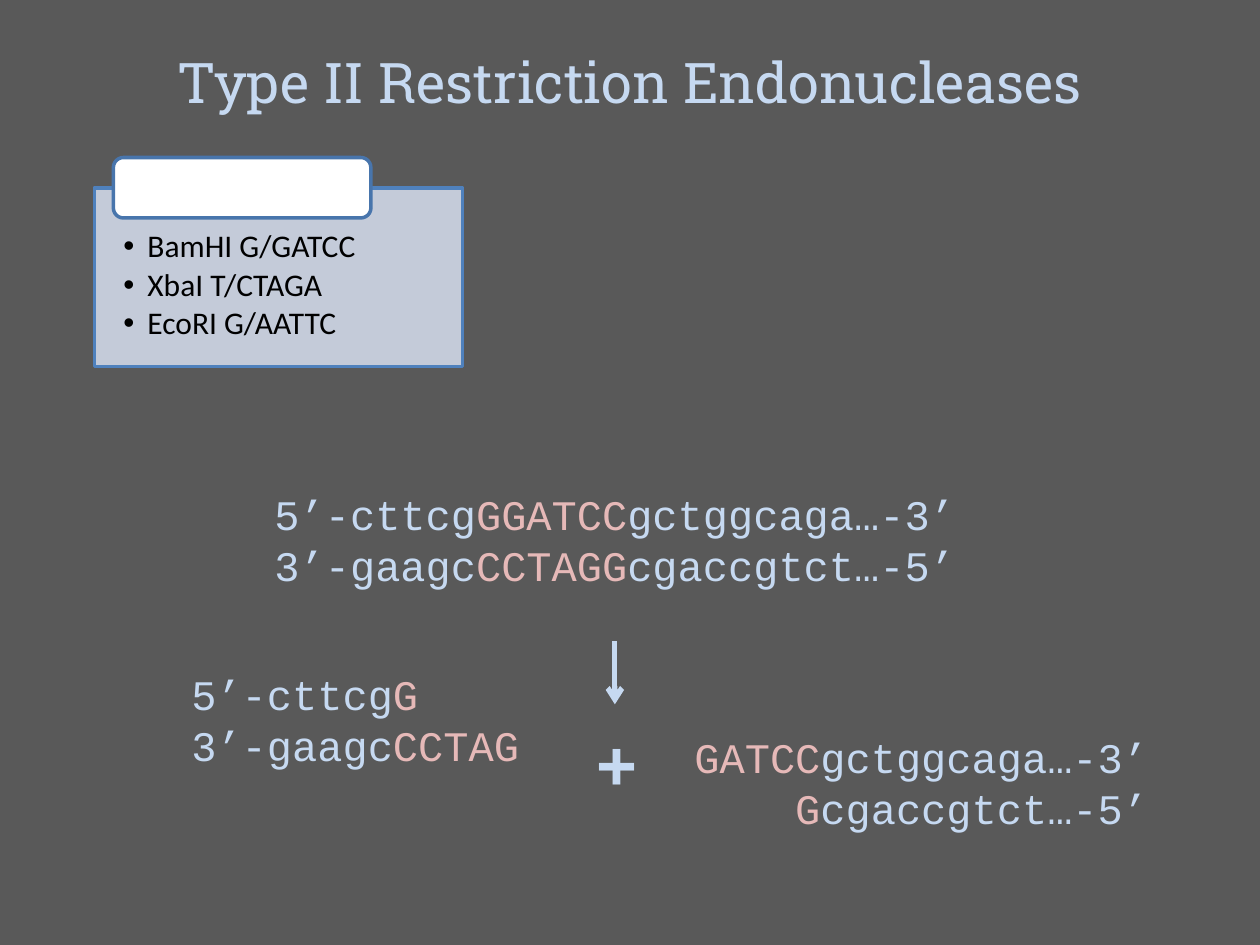
import itertools
import pptx
import pptx.dml.color
import pptx.enum.shapes
import pptx.enum.text
import pptx.oxml
import pptx.oxml.ns
import pptx.util

Inches = pptx.util.Inches
Pt = pptx.util.Pt
RGB = pptx.dml.color.RGBColor
ALIGN = pptx.enum.text.PP_ALIGN
ANCHOR = pptx.enum.text.MSO_ANCHOR
SHAPE = pptx.enum.shapes.MSO_SHAPE

GREY = RGB(0x59, 0x59, 0x59)
PALE = RGB(0xC6, 0xD9, 0xF1)
PINK = RGB(0xE6, 0xB9, 0xB8)
CARD = RGB(0xD0, 0xD8, 0xE8)
EDGE = RGB(0x4F, 0x81, 0xBD)
RIM = RGB(0x48, 0x75, 0xAC)
WHITE = RGB(0xFF, 0xFF, 0xFF)
BLACK = RGB(0x00, 0x00, 0x00)


def style(font, name, size, color, bold=False):
    font.name = name
    font.size = Pt(size)
    font.color.rgb = color
    font.bold = bold


def add_xml(parent, tag, attrs=""):
    space = pptx.oxml.ns.nsdecls("a")
    node = pptx.oxml.parse_xml(f"<a:{tag} {space} {attrs}/>")
    parent.append(node)
    return node


def add_title(slide, box, text):
    title = slide.shapes.title
    title.left, title.top, title.width, title.height = map(Inches, box)
    frame = title.text_frame
    frame.text = text
    frame.auto_size = pptx.enum.text.MSO_AUTO_SIZE.NONE
    frame.vertical_anchor = ANCHOR.TOP
    line = frame.paragraphs[0]
    line.alignment = ALIGN.CENTER
    style(line.runs[0].font, "Roboto Slab", 32, PALE)


def add_box(slide, kind, box, fill, edge):
    shape = slide.shapes.add_shape(kind, *map(Inches, box))
    shape.shadow.inherit = False
    shape.fill.solid()
    shape.fill.fore_color.rgb = fill
    shape.line.color.rgb = edge
    shape.line.width = Pt(2)
    return shape


def add_card(slide, box, items):
    left, top, width, height = box
    card = add_box(slide, SHAPE.RECTANGLE, box, CARD, EDGE)
    color = card.fill._xPr.find(".//" + pptx.oxml.ns.qn("a:srgbClr"))
    add_xml(color, "alpha", 'val="90000"')
    frame = card.text_frame
    frame.word_wrap = True
    frame.vertical_anchor = ANCHOR.TOP
    frame.margin_left = frame.margin_right = Inches(0.23)
    frame.margin_top = Inches(0.34)
    frame.margin_bottom = Inches(0.14)
    frame.text = "\n".join(items)
    for line in frame.paragraphs:
        props = line._p.get_or_add_pPr()
        props.set("marL", str(Inches(0.19)))
        props.set("indent", str(-Inches(0.19)))
        line.alignment = ALIGN.LEFT
        line.line_spacing = 0.9
        line.space_after = Pt(2.5)
        add_xml(props, "buFont", 'typeface="Arial"')
        add_xml(props, "buChar", 'char="•"')
        style(line.runs[0].font, "Calibri", 18, BLACK)
    tab = (left + 0.15, top - 0.24, width * 0.7, 0.48)
    add_box(slide, SHAPE.ROUNDED_RECTANGLE, tab, WHITE, RIM)


def add_strand(slide, box, rows, align=ALIGN.LEFT):
    frame = slide.shapes.add_textbox(*map(Inches, box)).text_frame
    frame.word_wrap = True
    for index, row in enumerate(rows):
        line = frame.add_paragraph() if index else frame.paragraphs[0]
        line.alignment = align
        for site, chars in itertools.groupby(row, str.isupper):
            run = line.add_run()
            run.text = "".join(chars)
            style(run.font, "Courier New", 24, PINK if site else PALE)


def add_plus(slide, box):
    frame = slide.shapes.add_textbox(*map(Inches, box)).text_frame
    frame.word_wrap = False
    frame.text = "+"
    style(frame.paragraphs[0].runs[0].font, "Courier New", 40, PALE, True)


def add_arrow(slide, x, top, end):
    arrow = slide.shapes.add_connector(
        pptx.enum.shapes.MSO_CONNECTOR.STRAIGHT,
        Inches(x), Inches(top), Inches(x), Inches(end))
    arrow.line.color.rgb = PALE
    arrow.line.width = Pt(3)
    add_xml(arrow.line._get_or_add_ln(), "tailEnd", 'type="arrow"')
    add_xml(arrow._element.spPr, "effectLst")


def main():
    deck = pptx.Presentation()
    deck.slide_width = Inches(10)
    deck.slide_height = Inches(7.5)
    slide = deck.slides.add_slide(deck.slide_layouts[5])
    slide.background.fill.solid()
    slide.background.fill.fore_color.rgb = GREY

    add_title(slide, (0, 0.33, 10, 0.64), "Type II Restriction Endonucleases")
    add_card(slide, (0.75, 1.49, 2.92, 1.42),
             ["BamHI G/GATCC", "XbaI T/CTAGA", "EcoRI G/AATTC"])
    add_strand(slide, (2.08, 3.83, 6, 0.91),
               ["5’-cttcgGGATCCgctggcaga…-3’", "3’-gaagcCCTAGGcgaccgtct…-5’"])
    add_strand(slide, (1.42, 5.26, 3.25, 0.91),
               ["5’-cttcgG", "3’-gaagcCCTAG"])
    add_strand(slide, (5.38, 5.76, 3.83, 0.91),
               ["GATCCgctggcaga…-3’", "Gcgaccgtct…-5’"], ALIGN.RIGHT)
    add_plus(slide, (4.63, 5.67, 0.54, 0.77))
    add_arrow(slide, 4.88, 5.09, 5.59)
    deck.save("out.pptx")


if __name__ == "__main__":
    main()
